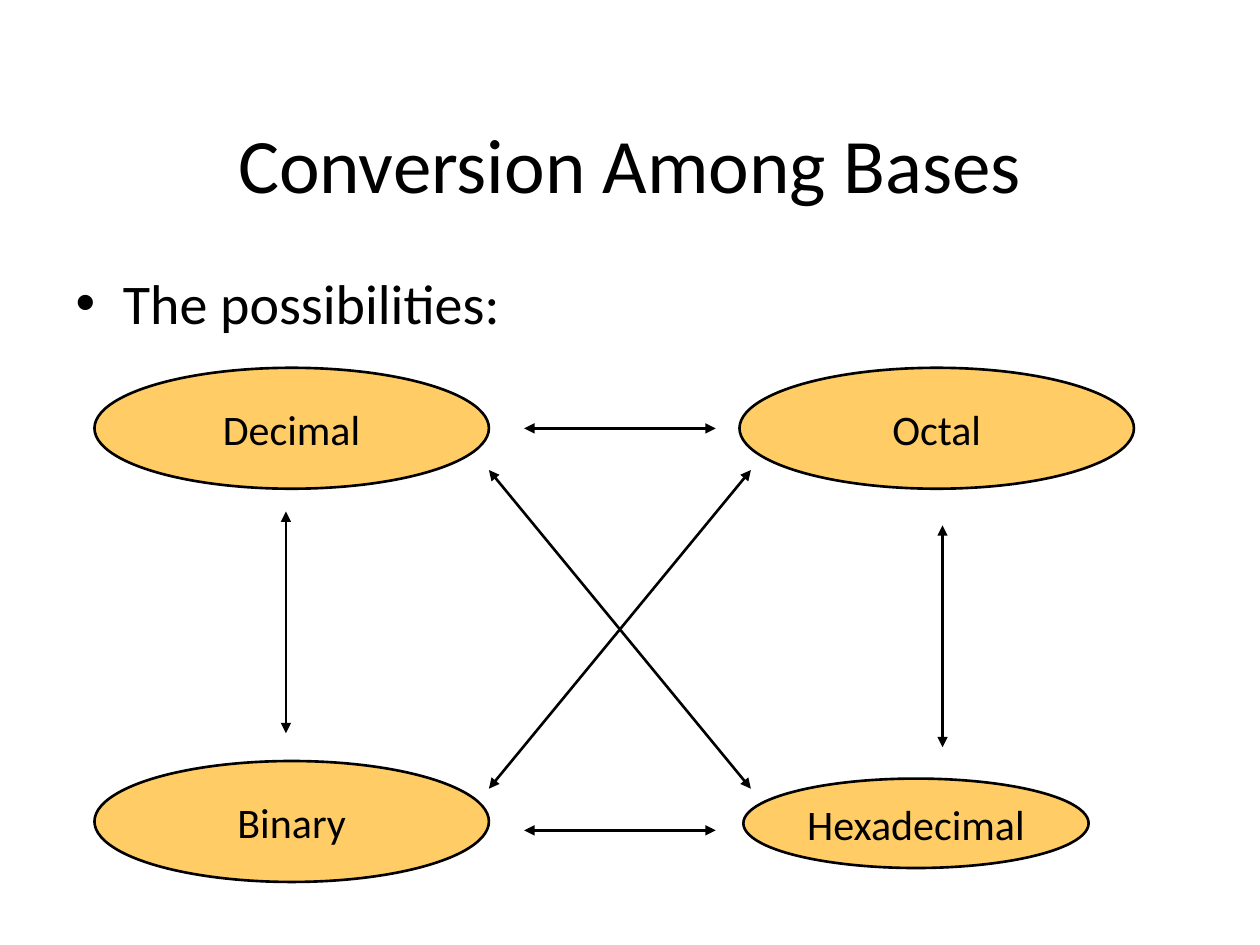
"""Build a slide that shows the conversions among four number bases."""
from dataclasses import dataclass

from lxml import etree
from pptx import Presentation
from pptx import util as u
from pptx.dml.color import RGBColor
from pptx.enum import shapes, text
from pptx.oxml.ns import qn

HUES = {"ink": "000000", "fill": "FFCC66", "back": "FFFFFF"}
FONT = "Calibri"
EDGE = 1.5


@dataclass
class Base:
    name: str
    x: float
    y: float
    w: float = 225.4
    h: float = 69.1
    fit: bool = False


@dataclass
class Arrow:
    x1: float
    y1: float
    x2: float
    y2: float


LEFT, RIGHT = 54, 422.6
TOP, LOW = 210.2, 434.9
BASES = [
    Base("Hexadecimal", 424.8, 444.9, 197.3, 51.1, True),
    Base("Decimal", LEFT, TOP),
    Base("Octal", RIGHT, TOP),
    Base("Binary", LEFT, LOW),
]
ARROWS = [
    Arrow(279.4, 450.7, 429.1, 268.6),
    Arrow(429.1, 450.7, 279.4, 268.6),
    Arrow(538.6, 427, 538.6, 300.2),
    Arrow(163.4, 419, 163.4, 292.3),
    Arrow(299.5, 244.8, 409, 244.8),
    Arrow(299.5, 474.5, 409, 474.5),
]


def tint(key: str) -> RGBColor:
    """Return the named colour."""
    return RGBColor.from_string(HUES[key])


def write(frame, words: str, *, size: float, align=None, anchor=None,
          wrap: bool = True, fit: bool = False) -> None:
    """Put one formatted paragraph into a text frame."""
    frame.text = words
    frame.word_wrap = wrap
    mode = text.MSO_AUTO_SIZE
    frame.auto_size = mode.SHAPE_TO_FIT_TEXT if fit else mode.NONE
    if anchor is not None:
        frame.vertical_anchor = anchor
    para = frame.paragraphs[0]
    para.alignment = align
    para.space_before = u.Pt(0)
    font = para.runs[0].font
    font.name, font.size = FONT, u.Pt(size)
    font.color.rgb = tint("ink")


def place(shape, x: float, y: float, w: float, h: float) -> None:
    """Move and size a shape, in points."""
    shape.left, shape.top = u.Pt(x), u.Pt(y)
    shape.width, shape.height = u.Pt(w), u.Pt(h)


def ink(line) -> None:
    """Give a line the common colour and width."""
    line.color.rgb = tint("ink")
    line.width = u.Pt(EDGE)


def draw_base(group, base: Base) -> None:
    """Draw one labelled ellipse."""
    oval = group.shapes.add_shape(
        shapes.MSO_SHAPE.OVAL,
        u.Pt(base.x), u.Pt(base.y), u.Pt(base.w), u.Pt(base.h))
    oval.shadow.inherit = False
    oval.fill.solid()
    oval.fill.fore_color.rgb = tint("fill")
    ink(oval.line)
    write(oval.text_frame, base.name, size=24, align=text.PP_ALIGN.CENTER,
          anchor=text.MSO_ANCHOR.MIDDLE, wrap=False, fit=base.fit)


def draw_arrow(group, arrow: Arrow) -> None:
    """Draw one line with a head at each end."""
    link = group.shapes.add_connector(
        shapes.MSO_CONNECTOR.STRAIGHT,
        u.Pt(arrow.x1), u.Pt(arrow.y1), u.Pt(arrow.x2), u.Pt(arrow.y2))
    ink(link.line)
    props = link._element.spPr
    for end in ("a:headEnd", "a:tailEnd"):
        etree.SubElement(props.find(qn("a:ln")), qn(end), type="triangle")
    etree.SubElement(props, qn("a:effectLst"))


def main() -> None:
    """Build and save the slide."""
    deck = Presentation()
    deck.slide_width, deck.slide_height = u.Pt(720), u.Pt(540)
    slide = deck.slides.add_slide(deck.slide_layouts[1])
    slide.background.fill.solid()
    slide.background.fill.fore_color.rgb = tint("back")

    title, body = slide.placeholders
    place(title, 36, 48, 648, 90)
    write(title.text_frame, "Conversion Among Bases", size=44,
          align=text.PP_ALIGN.CENTER, anchor=text.MSO_ANCHOR.MIDDLE)
    place(body, 36, 150, 648, 332.6)
    write(body.text_frame, "The possibilities:", size=32)

    group = slide.shapes.add_group_shape()
    for base in BASES:
        draw_base(group, base)
    for arrow in ARROWS:
        draw_arrow(group, arrow)
    deck.save("out.pptx")


if __name__ == "__main__":
    main()
